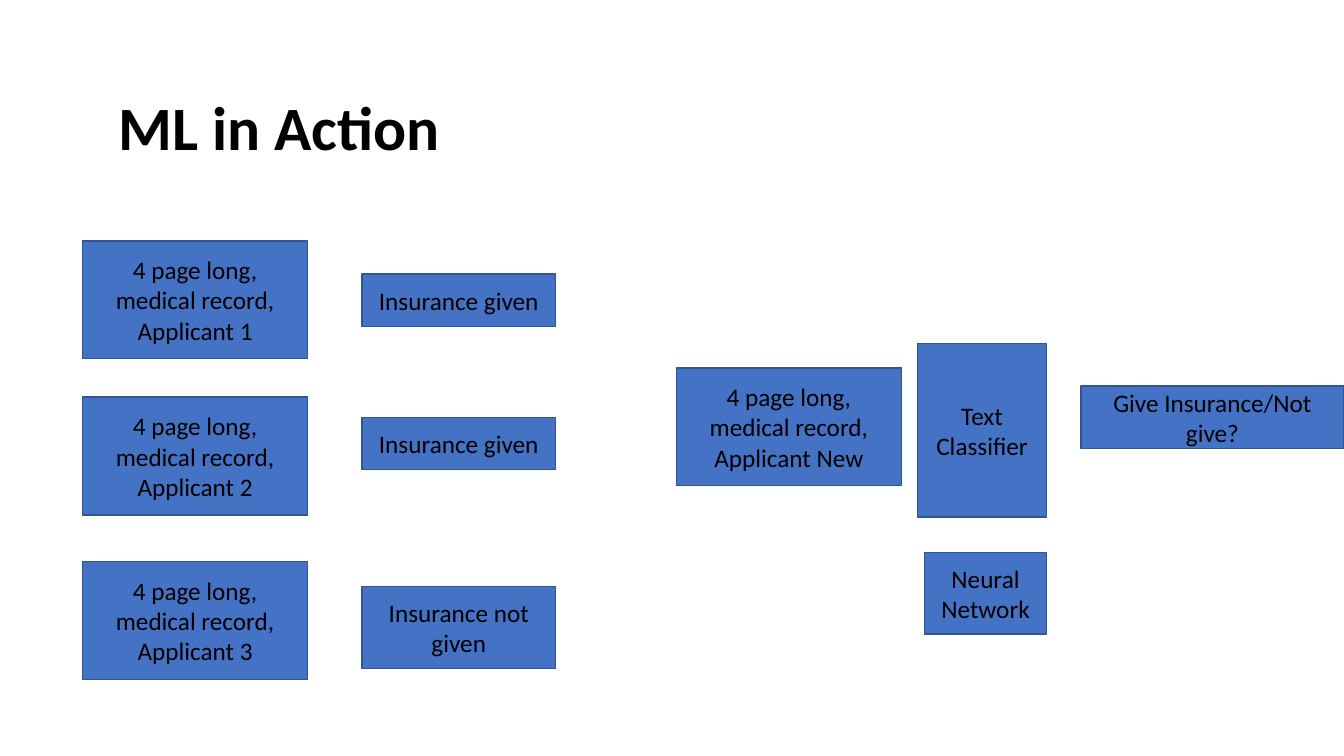
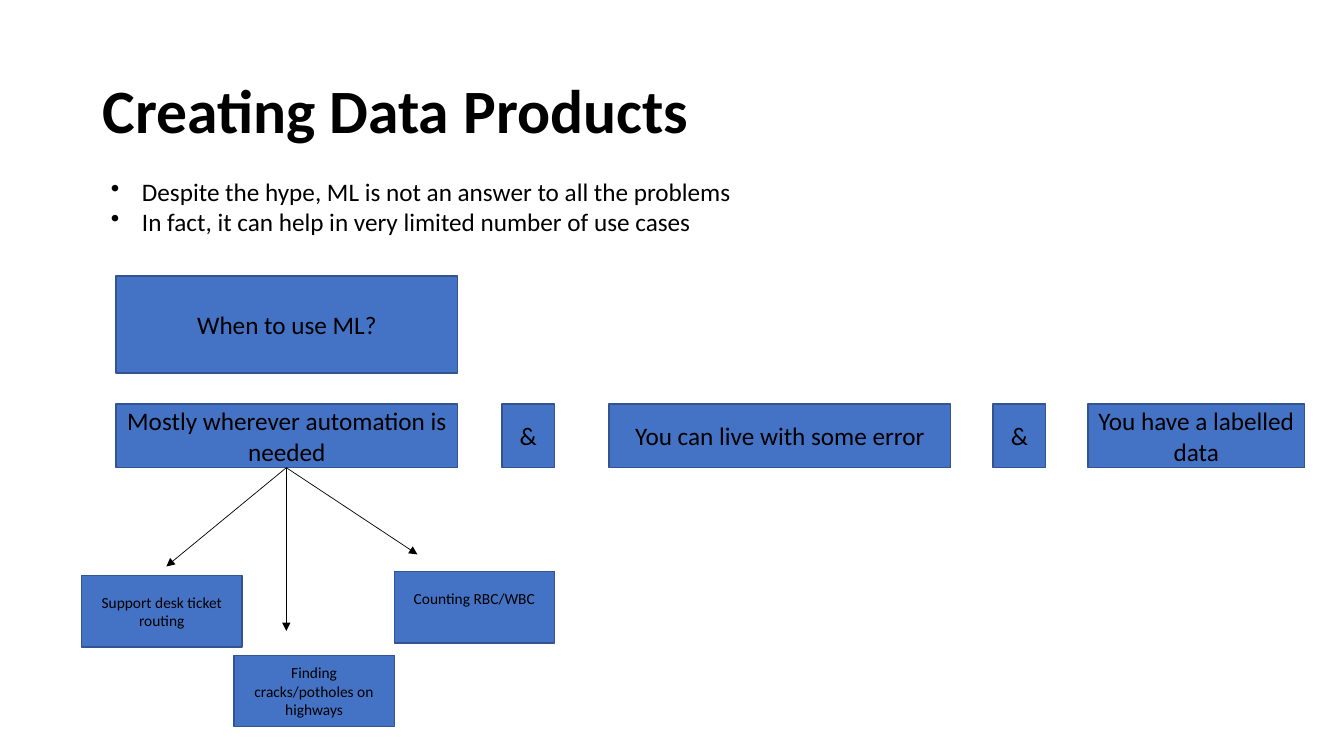
from pptx import Presentation
from pptx.dml.color import RGBColor
from pptx.enum.shapes import MSO_CONNECTOR, MSO_SHAPE
from pptx.enum.text import MSO_ANCHOR, PP_ALIGN
from pptx.oxml.ns import qn
from pptx.util import Pt
from lxml import etree

PX = 9144
FONT = "Calibri"
COLORS = {"fill": "4472C4", "edge": "325491", "ink": "000000", "page": "FFFFFF"}
RECT = MSO_SHAPE.RECTANGLE
LINE = MSO_CONNECTOR.STRAIGHT
MIDDLE = MSO_ANCHOR.MIDDLE
CENTER = PP_ALIGN.CENTER
RECORD = (223, 117)


def emu(*vals):
    return [round(val * PX) for val in vals]


def color(name):
    return RGBColor.from_string(COLORS[name])


def write(frame, text, size, bold=False):
    frame.word_wrap = True
    frame.text = text
    for para in frame.paragraphs:
        font = para.font
        font.name, font.size, font.bold = FONT, Pt(size), bold
        font.color.rgb = color("ink")
    return frame.paragraphs


def box(slide, x, y, w, h, text, size=18):
    shape = slide.shapes.add_shape(RECT, *emu(x, y, w, h))
    shape.shadow.inherit = False
    shape.fill.solid()
    shape.fill.fore_color.rgb = color("fill")
    shape.line.color.rgb = color("edge")
    shape.line.width = Pt(1)
    frame = shape.text_frame
    frame.vertical_anchor = MIDDLE
    for para in write(frame, text, size):
        para.alignment = CENTER
    return shape


def arrow(slide, start, end):
    link = slide.shapes.add_connector(LINE, *emu(*start, *end))
    link.line.color.rgb = color("ink")
    link.line.width = Pt(0.5)
    props = link._element.spPr
    etree.SubElement(props.find(qn("a:ln")), qn("a:tailEnd"), type="triangle")
    etree.SubElement(props, qn("a:effectLst"))


def title(slide, x, y, text):
    frame = slide.shapes.add_textbox(*emu(x, y, 1150, 145)).text_frame
    frame.vertical_anchor = MIDDLE
    write(frame, text, 44, True)[0].line_spacing = 0.9


def bullets(slide, x, y, w, h, lines):
    frame = slide.shapes.add_textbox(*emu(x, y, w, h)).text_frame
    indent, = emu(31)
    for para in write(frame, "\n".join(lines), 18):
        props = para._p.get_or_add_pPr()
        props.set("marL", str(indent))
        props.set("indent", str(-indent))
        mark = etree.Element(qn("a:buChar"), char="•")
        props.find(qn("a:defRPr")).addprevious(mark)


def record(slide, x, y, who):
    box(slide, x, y, *RECORD, f"4 page long, medical record, Applicant {who}")


def samples(slide, x, y):
    rows = [
        (0, 33, 52, "Insurance given"),
        (155, 175, 52, "Insurance given"),
        (318, 343, 81, "Insurance not given"),
    ]
    for who, (top, drop, high, text) in enumerate(rows, 1):
        record(slide, x, y + top, who)
        box(slide, x + 277, y + drop, 192, high, text)


def model(slide, x, y):
    record(slide, x, y + 24, "New")
    box(slide, x + 239, y, 128, 172, "Text\nClassifier")
    box(slide, x + 401, y + 42, 261, 62, "Give Insurance/Not give?")
    box(slide, x + 246, y + 207, 121, 81, "Neural Network")


def rules(slide, x, y):
    box(slide, x, y, 339, 96, "When to use ML?")
    parts = [
        (0, 339, "Mostly wherever automation is needed"),
        (383, 52, "&"),
        (489, 339, "You can live with some error"),
        (870, 52, "&"),
        (964, 215, "You have a labelled data"),
    ]
    for left, wide, text in parts:
        box(slide, x + left, y + 127, wide, 63, text)


def uses(slide, x, y):
    for dx, dy in [(-119, 98), (0, 162), (130, 86)]:
        arrow(slide, (x, y), (x + dx, y + dy))
    cases = [
        (-203, 107, "Support desk ticket routing"),
        (-52, 186, "Finding cracks/potholes on highways"),
        (107, 103, "Counting RBC/WBC"),
    ]
    for dx, dy, text in cases:
        case = box(slide, x + dx, y + dy, 159, 71, text, 11)
    case.text_frame.margin_bottom, = emu(23)


def action(slide):
    samples(slide, 82, 239)
    model(slide, 671, 341)
    title(slide, 108, 57, "ML in Action")


def products(slide):
    title(slide, 92, 40, "Creating Data Products")
    bullets(slide, 100, 170, 1129, 71, [
        "Despite the hype, ML is not an answer to all the problems",
        "In fact, it can help in very limited number of use cases",
    ])
    rules(slide, 115, 274)
    uses(slide, 284, 464)


def main():
    deck = Presentation()
    deck.slide_width, deck.slide_height = emu(1333, 750)
    for draw in (action, products):
        slide = deck.slides.add_slide(deck.slide_layouts[6])
        back = slide.background.fill
        back.solid()
        back.fore_color.rgb = color("page")
        draw(slide)
    deck.save("out.pptx")


if __name__ == "__main__":
    main()
